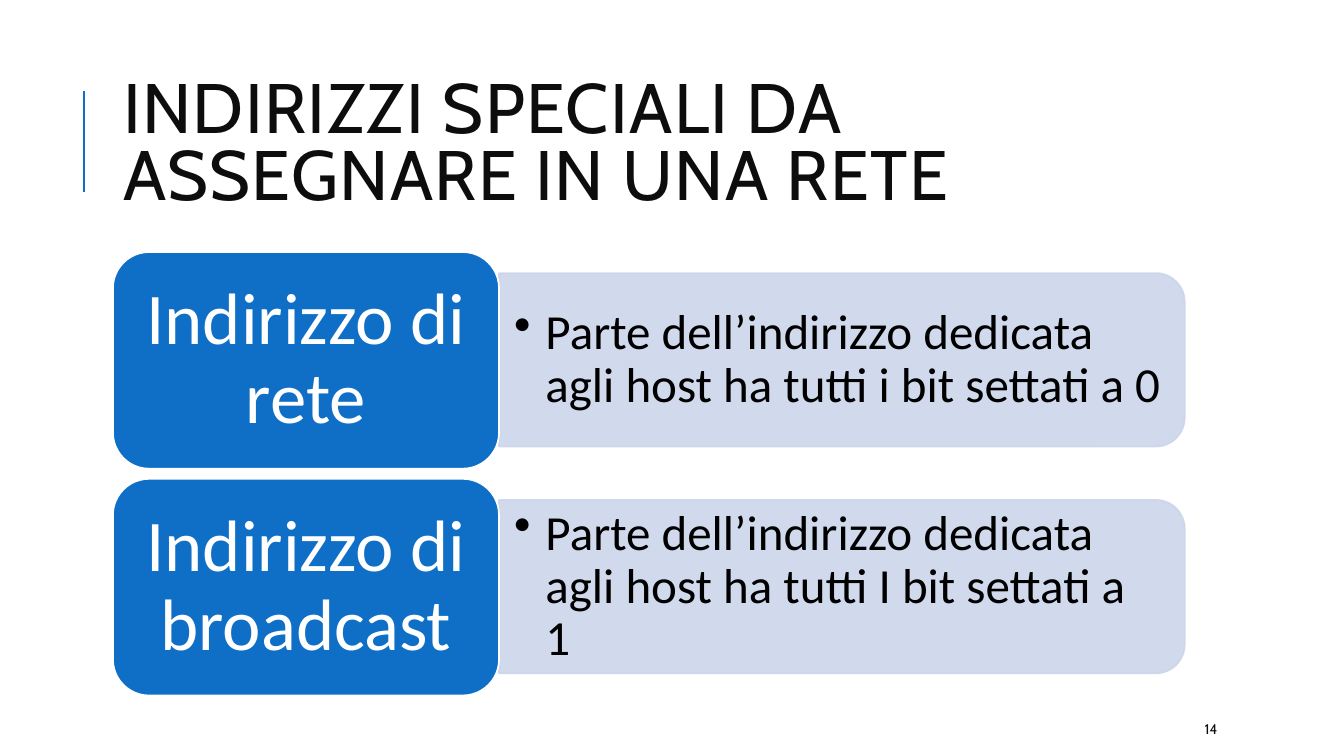
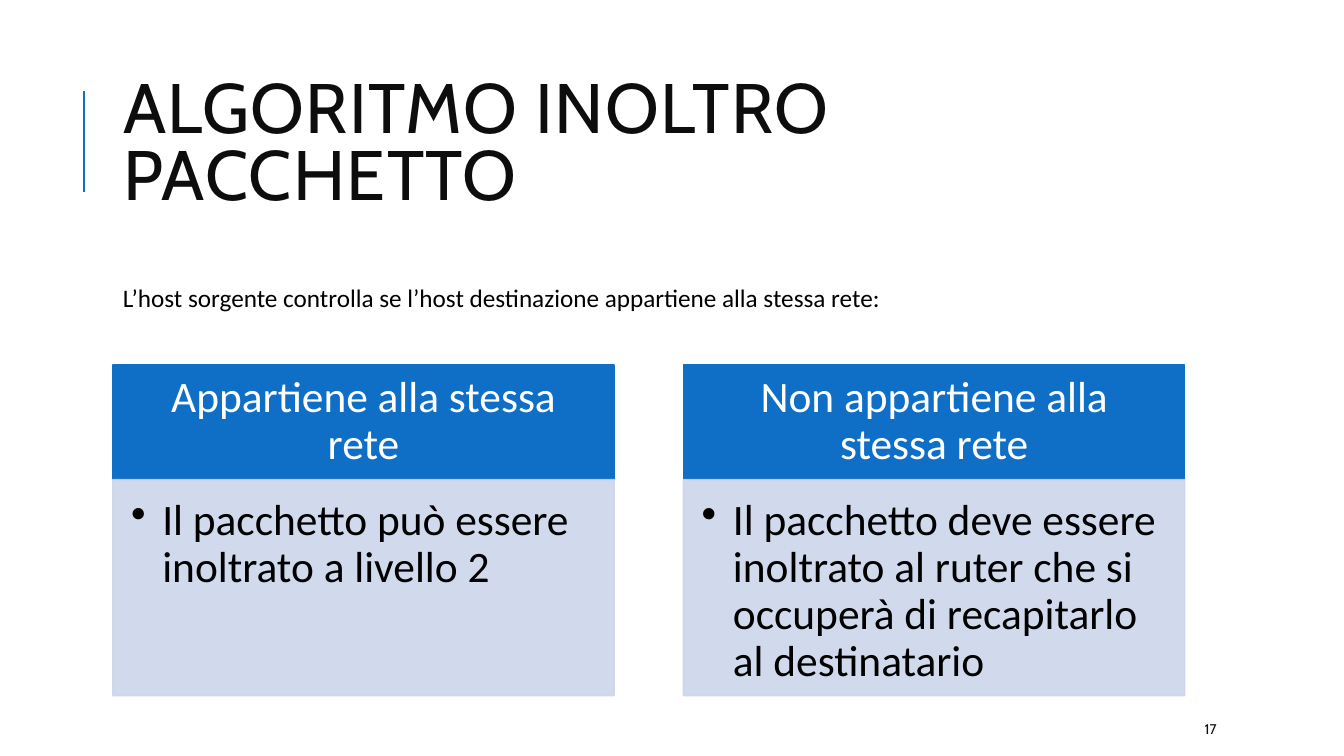
from dataclasses import dataclass

from pptx import Presentation
from pptx.dml.color import RGBColor
from pptx.enum import shapes, text
from pptx.oxml import ns, xmlchemy
from pptx.util import Inches, Pt

BLUE = RGBColor(0x0F, 0x6F, 0xC6)
PALE = RGBColor(0xCC, 0xD5, 0xEA)
INK = RGBColor(0x0D, 0x0D, 0x0D)
WHITE = RGBColor(0xFF, 0xFF, 0xFF)
BLACK = RGBColor(0, 0, 0)
HEADING_FONT = "Cabin"
BODY_FONT = "Calibri"
LEFT = 1.12
BULLET_INDENT = 0.31
CENTER = text.PP_ALIGN.CENTER
MIDDLE = text.MSO_ANCHOR.MIDDLE
TOP = text.MSO_ANCHOR.TOP


@dataclass(frozen=True)
class Box:
    left: float
    top: float
    width: float
    height: float

    def lengths(self) -> list[int]:
        return [Inches(n) for n in (self.left, self.top, self.width, self.height)]

    def turned(self) -> "Box":
        shift = (self.width - self.height) / 2
        return Box(self.left + shift, self.top - shift, self.height, self.width)


@dataclass(frozen=True)
class Style:
    size: float
    color: RGBColor
    font: str = BODY_FONT
    align: text.PP_ALIGN = text.PP_ALIGN.LEFT
    anchor: text.MSO_ANCHOR = MIDDLE
    insets: tuple[float, float, float, float] = (0.1, 0.05, 0.1, 0.05)
    spacing: float = 1
    bullet: bool = False


@dataclass(frozen=True)
class Entry:
    heading: str
    detail: str


TITLE = Style(50, INK, HEADING_FONT, spacing=0.8)
PAGE_NUMBER = Style(10, INK, HEADING_FONT)
INTRO = Style(18, BLACK, anchor=TOP)
ADDRESS = Style(52, WHITE, align=CENTER, insets=(0.22, 0.11, 0.22, 0.11), spacing=0.9)
ADDRESS_RULE = Style(35, BLACK, insets=(0.15, 0.07, 0.15, 0.07), spacing=0.9, bullet=True)
CASE = Style(31, WHITE, align=CENTER, insets=(0.24, 0.14, 0.24, 0.14), spacing=0.9)
CASE_ACTION = Style(31, BLACK, anchor=TOP, insets=(0.18, 0.18, 0.24, 0.27),
                    spacing=0.9, bullet=True)

ADDRESSES = [
    Entry("Indirizzo di rete",
          "Parte dell’indirizzo dedicata agli host ha tutti i bit settati a 0"),
    Entry("Indirizzo di broadcast",
          "Parte dell’indirizzo dedicata agli host ha tutti I bit settati a 1"),
]
CASES = [
    Entry("Appartiene alla stessa rete",
          "Il pacchetto può essere inoltrato a livello 2"),
    Entry("Non appartiene alla stessa rete",
          "Il pacchetto deve essere inoltrato al ruter che si occuperà "
          "di recapitarlo al destinatario"),
]


def write(holder, words: str, style: Style) -> None:
    frame = holder.text_frame
    frame.text = words
    frame.word_wrap = True
    frame.auto_size = text.MSO_AUTO_SIZE.NONE
    frame.vertical_anchor = style.anchor
    (frame.margin_left, frame.margin_top,
     frame.margin_right, frame.margin_bottom) = [Inches(n) for n in style.insets]
    paragraph = frame.paragraphs[0]
    paragraph.alignment = style.align
    paragraph.line_spacing = style.spacing
    font = paragraph.runs[0].font
    font.name = style.font
    font.size = Pt(style.size)
    font.color.rgb = style.color
    if style.bullet:
        properties = paragraph._p.get_or_add_pPr()
        properties.set("marL", str(Inches(BULLET_INDENT)))
        properties.set("indent", str(-Inches(BULLET_INDENT)))
        bullet = xmlchemy.OxmlElement("a:buChar")
        bullet.set("char", "•")
        properties.append(bullet)


def add_text(slide, box: Box, words: str, style: Style) -> None:
    write(slide.shapes.add_textbox(*box.lengths()), words, style)


def add_panel(slide, preset: shapes.MSO_SHAPE, box: Box, fill: RGBColor,
              line: RGBColor, opacity: int = 100):
    panel = slide.shapes.add_shape(preset, *box.lengths())
    panel.shadow.inherit = False
    panel.fill.solid()
    panel.fill.fore_color.rgb = fill
    panel.line.color.rgb = line
    panel.line.width = Pt(1.25)
    if opacity < 100:
        for color in panel._element.spPr.iter(ns.qn("a:srgbClr")):
            alpha = xmlchemy.OxmlElement("a:alpha")
            alpha.set("val", str(opacity * 1000))
            color.append(alpha)
    return panel


def add_page(deck, title: str, number: int):
    slide = deck.slides.add_slide(deck.slide_layouts[5])
    accent = slide.shapes.add_connector(
        shapes.MSO_CONNECTOR.STRAIGHT,
        Inches(0.83), Inches(1.9), Inches(0.83), Inches(0.9))
    accent.line.color.rgb = BLUE
    accent.line.width = Pt(1.5)
    accent._element.spPr.append(xmlchemy.OxmlElement("a:effectLst"))
    heading = slide.shapes.title
    heading.left, heading.top, heading.width, heading.height = Box(
        LEFT, 0.64, 10.63, 1.64).lengths()
    write(heading, title, TITLE)
    heading.text_frame.paragraphs[0].runs[0].font._element.set("spc", "100")
    add_text(slide, Box(11.85, 7.08, 1.06, 0.3), str(number), PAGE_NUMBER)
    return slide


def add_address(slide, entry: Entry, top: float) -> None:
    label = Box(LEFT, top, 3.83, 2.15)
    band = Box(label.left + label.width, top + 0.21, 6.8, 1.72)
    tab = add_panel(slide, shapes.MSO_SHAPE.ROUND_2_SAME_RECTANGLE,
                    band.turned(), PALE, PALE, 90)
    tab.rotation = 90
    add_text(slide, Box(band.left, top + 0.3, 6.72, 1.55), entry.detail, ADDRESS_RULE)
    name = add_panel(slide, shapes.MSO_SHAPE.ROUNDED_RECTANGLE, label, BLUE, WHITE)
    write(name, entry.heading, ADDRESS)


def add_case(slide, entry: Entry, left: float) -> None:
    header = add_panel(slide, shapes.MSO_SHAPE.RECTANGLE,
                       Box(left, 3.62, 4.97, 1.13), BLUE, BLUE)
    write(header, entry.heading, CASE)
    action = add_panel(slide, shapes.MSO_SHAPE.RECTANGLE,
                       Box(left, 4.76, 4.97, 2.14), PALE, PALE, 90)
    write(action, entry.detail, CASE_ACTION)


def main() -> None:
    deck = Presentation()
    deck.slide_width = Inches(13.33)
    deck.slide_height = Inches(7.5)

    special_addresses = add_page(deck, "INDIRIZZI SPECIALI DA ASSEGNARE IN UNA RETE", 14)
    for row, entry in enumerate(ADDRESSES):
        add_address(special_addresses, entry, 2.5 + row * 2.25)

    forwarding = add_page(deck, "ALGORITMO INOLTRO PACCHETTO", 17)
    for column, entry in enumerate(CASES):
        add_case(forwarding, entry, LEFT + column * 5.66)
    add_text(forwarding, Box(LEFT, 2.75, 10.73, 0.4),
             "L’host sorgente controlla se l’host destinazione appartiene alla stessa rete:",
             INTRO)

    deck.save("out.pptx")


main()
